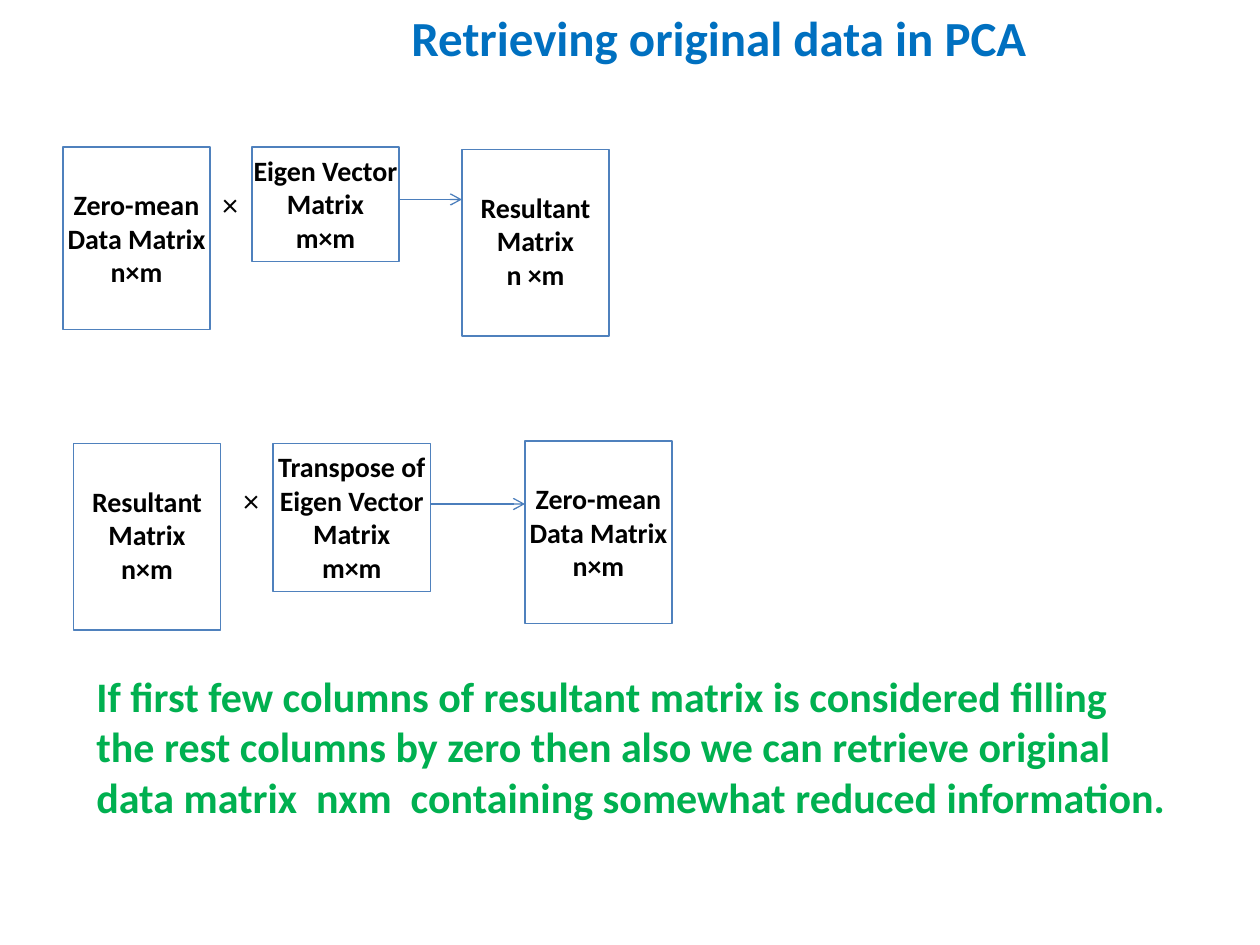
import dataclasses

import lxml.etree
import pptx
import pptx.dml.color
import pptx.enum.shapes
import pptx.enum.text
import pptx.oxml.ns
import pptx.util

COLUMNS, ROWS = 120, 90
CELL = pptx.util.Inches(10) // COLUMNS
TEXT_INSET = pptx.util.Inches(0.05)


def rgb(value):
    return pptx.dml.color.RGBColor.from_string(value)


@dataclasses.dataclass(frozen=True)
class Theme:
    font: str = "Calibri"
    ink: str = "000000"
    title: str = "0070C0"
    note: str = "00B050"
    border: str = "4F81BD"
    arrow: str = "4B7EBC"
    title_size: int = 28
    note_size: int = 24
    sign_size: int = 18
    matrix_size: int = 16
    line_width: float = 0.75


THEME = Theme()


def grid(*cells):
    """Turn grid columns and rows into lengths."""
    return [round(c * CELL) for c in cells]


def style_font(p, size, color, bold):
    p.font.name = THEME.font
    p.font.size = pptx.util.Pt(size)
    p.font.bold = bold
    p.font.color.rgb = rgb(color)


def add_text(s, box, text, size, color, bold=True):
    tf = s.shapes.add_textbox(*grid(*box)).text_frame
    tf.word_wrap = True
    p = tf.paragraphs[0]
    p.text = text
    style_font(p, size, color, bold)


def add_matrix(s, box, name, dimensions, lead_lines=0):
    """Draw a matrix box whose text starts lead_lines below the top."""
    sp = s.shapes.add_shape(pptx.enum.shapes.MSO_SHAPE.RECTANGLE, *grid(*box))
    sp.shadow.inherit = False
    sp.fill.background()
    sp.line.color.rgb = rgb(THEME.border)
    sp.line.width = pptx.util.Pt(THEME.line_width)
    tf = sp.text_frame
    tf.word_wrap = True
    tf.vertical_anchor = pptx.enum.text.MSO_ANCHOR.TOP
    tf.margin_left = tf.margin_right = 0
    tf.margin_bottom = TEXT_INSET
    line_height = pptx.util.Pt(THEME.matrix_size * 1.22)
    tf.margin_top = TEXT_INSET + lead_lines * line_height
    tf.text = f"{name}\n{dimensions}"
    for p in tf.paragraphs:
        p.alignment = pptx.enum.text.PP_ALIGN.CENTER
        style_font(p, THEME.matrix_size, THEME.ink, True)


def add_arrow(s, start, end, row):
    c = s.shapes.add_connector(
        pptx.enum.shapes.MSO_CONNECTOR.STRAIGHT, *grid(start, row, end, row))
    c.line.color.rgb = rgb(THEME.arrow)
    c.line.width = pptx.util.Pt(THEME.line_width)
    qn = pptx.oxml.ns.qn
    lxml.etree.SubElement(c.line._get_or_add_ln(), qn("a:tailEnd"), type="arrow")
    lxml.etree.SubElement(c._element.spPr, qn("a:effectLst"))


def add_product(s, left, right, result, sign_at, arrow_row):
    """Draw left × right -> result; each matrix is (box, name, dimensions, lead)."""
    for matrix in (left, right, result):
        add_matrix(s, *matrix)
    add_text(s, (*sign_at, 3, 4.8), "×", THEME.sign_size, THEME.ink, bold=False)
    right_box, result_box = right[0], result[0]
    add_arrow(s, right_box[0] + right_box[2], result_box[0], arrow_row)


def main():
    prs = pptx.Presentation()
    prs.slide_width, prs.slide_height = grid(COLUMNS, ROWS)
    s = prs.slides.add_slide(prs.slide_layouts[6])

    add_text(s, (38, 0.1, 81, 6.8), "Retrieving original data in PCA",
             THEME.title_size, THEME.title)
    add_product(
        s,
        ((6, 14, 14, 17.4), "Zero-mean Data Matrix", "n×m", 1),
        ((24, 14, 14, 10.9), "Eigen Vector Matrix", "m×m"),
        ((44, 14.25, 14, 17.75), "Resultant Matrix", "n ×m", 1),
        sign_at=(20, 17), arrow_row=19)
    add_product(
        s,
        ((7, 42.25, 14, 17.75), "Resultant Matrix", "n×m", 1),
        ((26, 42.25, 15, 14.1), "Transpose of Eigen Vector Matrix", "m×m"),
        ((50, 42, 14, 17.4), "Zero-mean Data Matrix", "n×m", 1),
        sign_at=(22, 45.25), arrow_row=48)
    add_text(s, (8, 63.25, 105, 15.7),
             "If first few columns of resultant matrix is considered filling "
             "the rest columns by zero then also we can retrieve original "
             "data matrix  nxm  containing somewhat reduced information.",
             THEME.note_size, THEME.note)
    prs.save("out.pptx")


if __name__ == "__main__":
    main()
